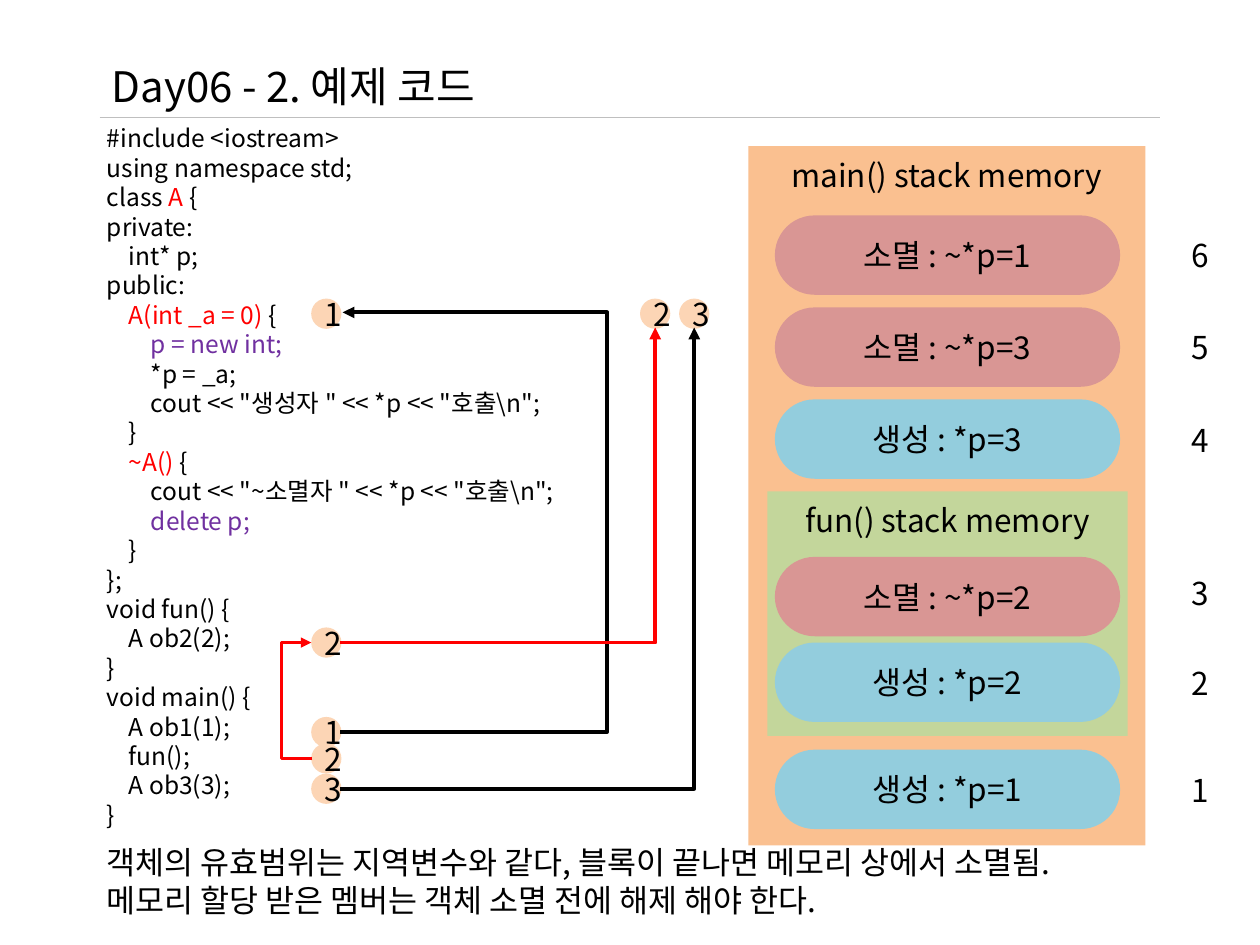
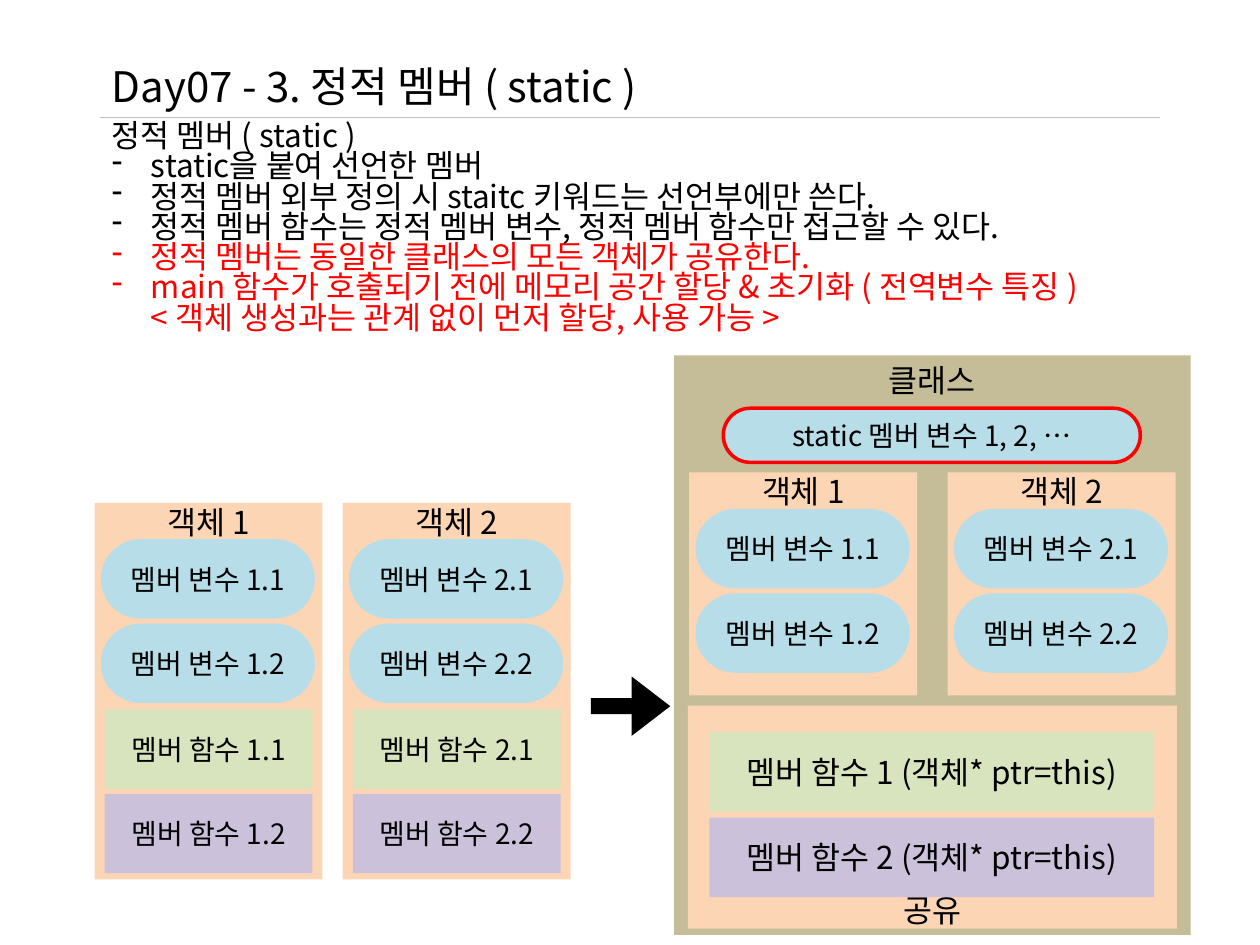
"""Build two slides on object lifetime and static members."""
import pptx
import pptx.dml.color
import pptx.enum.shapes
import pptx.enum.text
import pptx.oxml.ns
import pptx.util
from lxml import etree

Inches = pptx.util.Inches
Pt = pptx.util.Pt
qn = pptx.oxml.ns.qn
SHAPE = pptx.enum.shapes.MSO_SHAPE
CONNECTOR = pptx.enum.shapes.MSO_CONNECTOR
ANCHOR = pptx.enum.text.MSO_ANCHOR
CENTER = pptx.enum.text.PP_ALIGN.CENTER

FONT = "Noto Sans CJK KR"
COLORS = {
    "black": "000000", "red": "FF0000", "purple": "7030A0", "rule": "BFBFBF",
    "peach": "FCD5B5", "orange": "FAC090", "green": "C3D69B", "created": "93CDDD",
    "destroyed": "D99694", "class": "C4BD97", "variable": "B7DEE8",
    "function 1": "D7E4BD", "function 2": "CCC1DA",
}
RGB = {name: pptx.dml.color.RGBColor.from_string(value) for name, value in COLORS.items()}


def write(frame, lines, size, frame_format=None, paragraph_format=None, bulleted=()):
    for name, value in {"word_wrap": True, **(frame_format or {})}.items():
        setattr(frame, name, value)
    for row, line in enumerate(lines):
        paragraph = frame.add_paragraph() if row else frame.paragraphs[0]
        if row in bulleted:
            properties = paragraph._p.get_or_add_pPr()
            properties.set("marL", str(Inches(0.31)))
            properties.set("indent", str(Inches(-0.31)))
            etree.SubElement(properties, qn("a:buChar"), char="-")
        for name, value in (paragraph_format or {}).items():
            setattr(paragraph, name, value)
        for text, color in [(line, "black")] if isinstance(line, str) else line:
            for part_number, part in enumerate(text.split("\n")):
                if part_number:
                    paragraph.add_line_break()
                run = paragraph.add_run()
                run.text = part
                for name, value in {"name": FONT, "size": Pt(size)}.items():
                    setattr(run.font, name, value)
                run.font.color.rgb = RGB[color]
                etree.SubElement(run.font._element, qn("a:ea"), typeface=FONT)


def block(slide, kind, box, color=None, text="", size=18, **frame_format):
    part = slide.shapes.add_shape(kind, *map(Inches, box))
    part.shadow.inherit = False
    part.line.fill.background()
    if color:
        part.fill.solid()
        part.fill.fore_color.rgb = RGB[color]
    else:
        part.fill.background()
    if kind == SHAPE.ROUNDED_RECTANGLE:
        part.adjustments[0] = 0.5
    if text:
        write(part.text_frame, [text], size, frame_format, {"alignment": CENTER})
    return part


deck = pptx.Presentation()
deck.slide_width, deck.slide_height = Inches(10), Inches(7.5)

slides = []
for title in ("Day06 - 2. 예제 코드", "Day07 - 3. 정적 멤버 ( static )"):
    slide = deck.slides.add_slide(deck.slide_layouts[6])
    heading = slide.shapes.add_textbox(Inches(0.79), Inches(0.43), Inches(8.43), Inches(0.5))
    write(heading.text_frame, [title], 24)
    rule = slide.shapes.add_connector(
        CONNECTOR.STRAIGHT, Inches(0.79), Inches(0.93), Inches(9.21), Inches(0.93))
    rule.line.color.rgb = RGB["rule"]
    rule.line.width = Pt(0.75)
    etree.SubElement(rule._element.spPr, qn("a:effectLst"))
    slides.append(slide)
lifetime, static = slides

code = [
    "#include <iostream>",
    "using namespace std;",
    [("class ", "black"), ("A", "red"), (" {", "black")],
    "private:",
    "    int* p;",
    "public:",
    [("    ", "black"), ("A(int _a = 0) ", "red"), ("{", "black")],
    [("        ", "black"), ("p = new int;", "purple")],
    "        *p = _a;",
    r'        cout << "생성자 " << *p << "호출\n";',
    "    }",
    [("    ", "black"), ("~A() ", "red"), ("{", "black")],
    r'        cout << "~소멸자 " << *p << "호출\n";',
    [("       ", "black"), (" delete p;", "purple")],
    "    }",
    "};",
    "void fun() {",
    "    A ob2(2);",
    "}",
    "void main() {",
    "    A ob1(1);",
    "    fun();",
    "    A ob3(3);",
    "}",
]
listing = lifetime.shapes.add_textbox(Inches(0.75), Inches(0.93), Inches(8.46), Inches(5.76))
write(listing.text_frame, code, 14)

markers = {}
for name, number, left, top in [
    ("ob1", "1", 2.47, 5.69), ("ob2", "2", 2.47, 4.98),
    ("fun", "2", 2.47, 5.9), ("ob3", "3", 2.47, 6.14),
    ("constructor 1", "1", 2.47, 2.37), ("constructor 2", "2", 5.08, 2.37),
    ("constructor 3", "3", 5.39, 2.37),
]:
    markers[name] = block(lifetime, SHAPE.OVAL, (left, top, 0.24, 0.24), "peach", number)

for source, source_site, target, target_site, start, end, turn, color, width in [
    ("ob1", 6, "constructor 1", 6, (2.7, 5.81), (2.72, 2.48), 4.81, "black", 2.25),
    ("ob2", 6, "constructor 2", 4, (2.7, 5.1), (5.2, 2.6), None, "red", 2.25),
    ("fun", 2, "ob2", 2, (2.48, 6.02), (2.47, 5.1), 2.23, "red", 1.5),
    ("ob3", 6, "constructor 3", 4, (2.7, 6.26), (5.51, 2.6), None, "black", 2.25),
]:
    call = lifetime.shapes.add_connector(CONNECTOR.ELBOW, *map(Inches, start + end))
    call.line.color.rgb = RGB[color]
    call.line.width = Pt(width)
    etree.SubElement(call.line._get_or_add_ln(), qn("a:tailEnd"), type="triangle")
    etree.SubElement(call._element.spPr, qn("a:effectLst"))
    geometry = call._element.spPr.find(qn("a:prstGeom"))
    if turn is None:
        geometry.set("prst", "bentConnector2")
    else:
        bend = round((turn - start[0]) / (end[0] - start[0]) * 100000)
        etree.SubElement(geometry.find(qn("a:avLst")), qn("a:gd"), name="adj1", fmla=f"val {bend}")
    ends = call._element.find(".//" + qn("p:cNvCxnSpPr"))
    for tag, name, site in (("a:stCxn", source, source_site), ("a:endCxn", target, target_site)):
        etree.SubElement(ends, qn(tag), id=str(markers[name].shape_id), idx=str(site))

for text, box, color in [
    ("main() stack memory", (5.94, 1.16, 3.15, 5.55), "orange"),
    ("fun() stack memory", (6.09, 3.9, 2.86, 1.94), "green"),
]:
    block(lifetime, SHAPE.RECTANGLE, box, color, text,
          vertical_anchor=ANCHOR.TOP, margin_top=Inches(0.08))

for step, (text, color, top, number_top) in enumerate([
    ("생성 : *p=1", "created", 5.95, 6.04),
    ("생성 : *p=2", "created", 5.1, 5.19),
    ("소멸 : ~*p=2", "destroyed", 4.42, 4.48),
    ("생성 : *p=3", "created", 3.17, 3.26),
    ("소멸 : ~*p=3", "destroyed", 2.44, 2.52),
    ("소멸 : ~*p=1", "destroyed", 1.71, 1.79),
], start=1):
    block(lifetime, SHAPE.ROUNDED_RECTANGLE, (6.15, top, 2.74, 0.63), color, text)
    block(lifetime, SHAPE.OVAL, (9.25, number_top, 0.56, 0.46), text=str(step))

summary = lifetime.shapes.add_textbox(Inches(0.75), Inches(6.64), Inches(8.46), Inches(0.71))
write(summary.text_frame, [
    "객체의 유효범위는 지역변수와 같다, 블록이 끝나면 메모리 상에서 소멸됨.",
    "메모리 할당 받은 멤버는 객체 소멸 전에 해제 해야 한다.",
], 18)

block(static, SHAPE.RECTANGLE, (5.35, 2.82, 4.1, 4.6), "class", "클래스",
      vertical_anchor=ANCHOR.TOP, margin_top=Inches(0.05))
static_variables = block(static, SHAPE.ROUNDED_RECTANGLE, (5.74, 3.24, 3.31, 0.43),
                         "variable", "static 멤버 변수 1, 2, …", 16)
static_variables.line.color.rgb = RGB["red"]
static_variables.line.width = Pt(2)

for number, left, top, height, has_functions in [
    (1, 0.75, 3.99, 2.99, True), (2, 2.72, 3.99, 2.99, True),
    (1, 5.47, 3.75, 1.77, False), (2, 7.52, 3.75, 1.77, False),
]:
    block(static, SHAPE.RECTANGLE, (left, top, 1.81, height), "peach", f"객체 {number}",
          vertical_anchor=ANCHOR.TOP, margin_top=0)
    for member in (1, 2):
        member_top = top + 0.29 + 0.67 * (member - 1)
        block(static, SHAPE.ROUNDED_RECTANGLE, (left + 0.05, member_top, 1.7, 0.63),
              "variable", f"멤버 변수 {number}.{member}", 16)
        if has_functions:
            block(static, SHAPE.RECTANGLE, (left + 0.08, member_top + 1.35, 1.65, 0.63),
                  f"function {member}", f"멤버 함수 {number}.{member}", 16)

block(static, SHAPE.RECTANGLE, (5.46, 5.6, 3.88, 1.77), "peach", "공유",
      vertical_anchor=ANCHOR.BOTTOM, margin_bottom=0)
for member in (1, 2):
    block(static, SHAPE.RECTANGLE, (5.63, 5.81 + 0.68 * (member - 1), 3.53, 0.63),
          f"function {member}", f"멤버 함수 {member} (객체* ptr=this)")

becomes = block(static, SHAPE.RIGHT_ARROW, (4.69, 5.37, 0.63, 0.47), "black")
becomes.adjustments[0], becomes.adjustments[1] = 0.27, 0.65

rules = static.shapes.add_textbox(Inches(0.79), Inches(0.93), Inches(8.43), Inches(1.8))
write(rules.text_frame, [
    "정적 멤버 ( static )",
    "static을 붙여 선언한 멤버",
    "정적 멤버 외부 정의 시 staitc 키워드는 선언부에만 쓴다.",
    "정적 멤버 함수는 정적 멤버 변수, 정적 멤버 함수만 접근할 수 있다.",
    [("정적 멤버는 동일한 클래스의 모든 객체가 공유한다.", "red")],
    [("main 함수가 호출되기 전에 메모리 공간 할당 & 초기화 ( 전역변수 특징 )\n"
      "< 객체 생성과는 관계 없이 먼저 할당, 사용 가능 >", "red")],
], 18, paragraph_format={"line_spacing": 0.8}, bulleted=range(1, 6))

deck.save("out.pptx")
